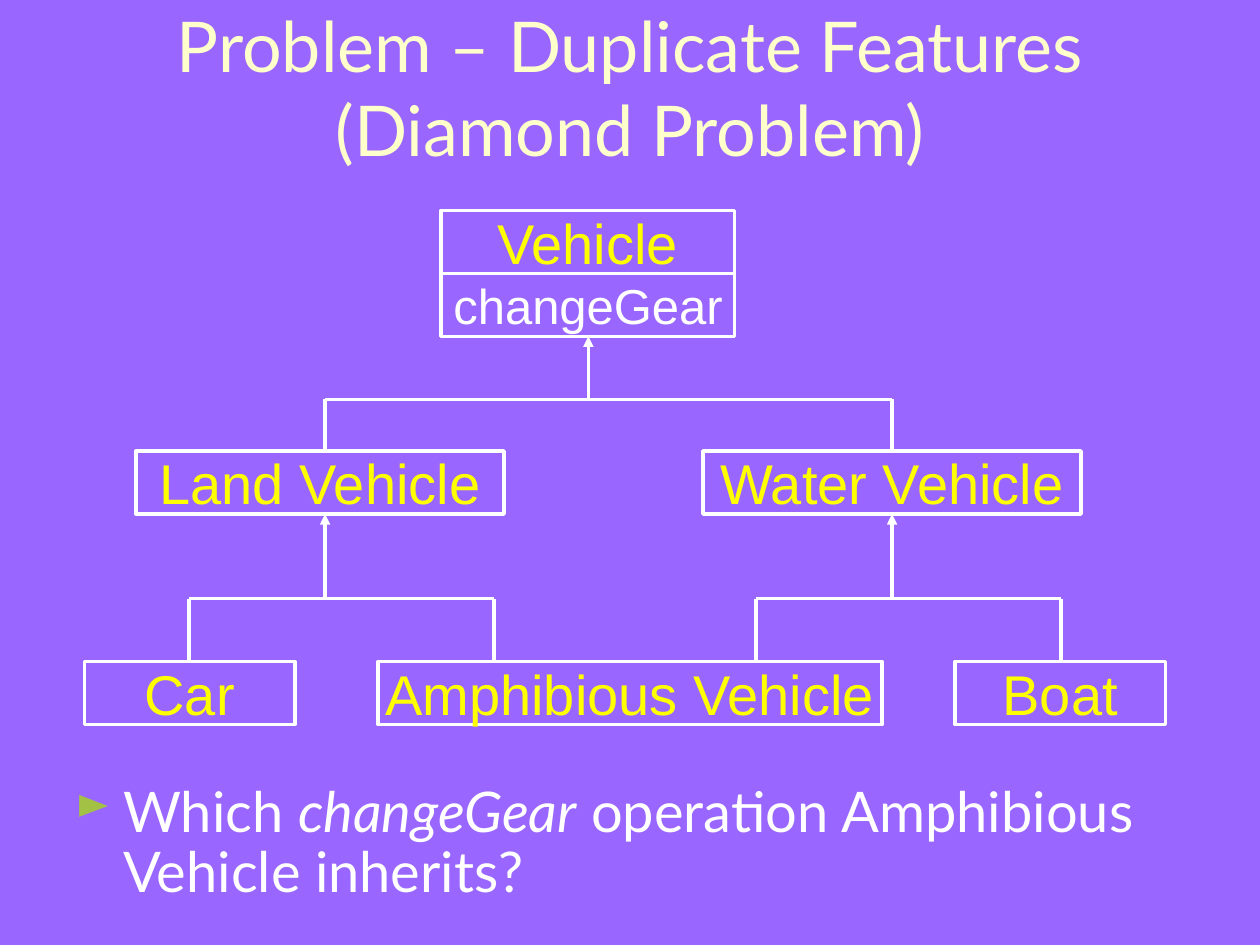
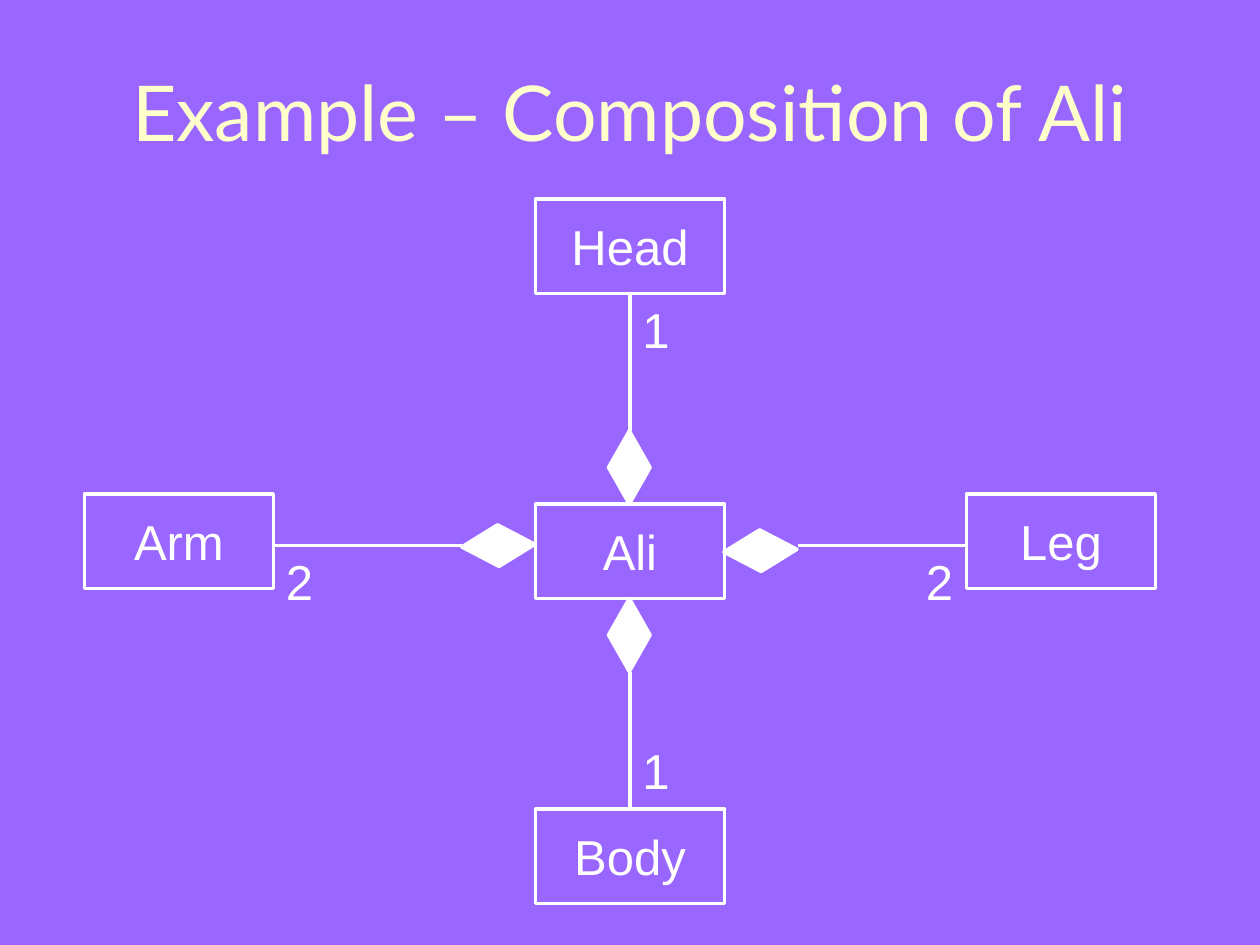
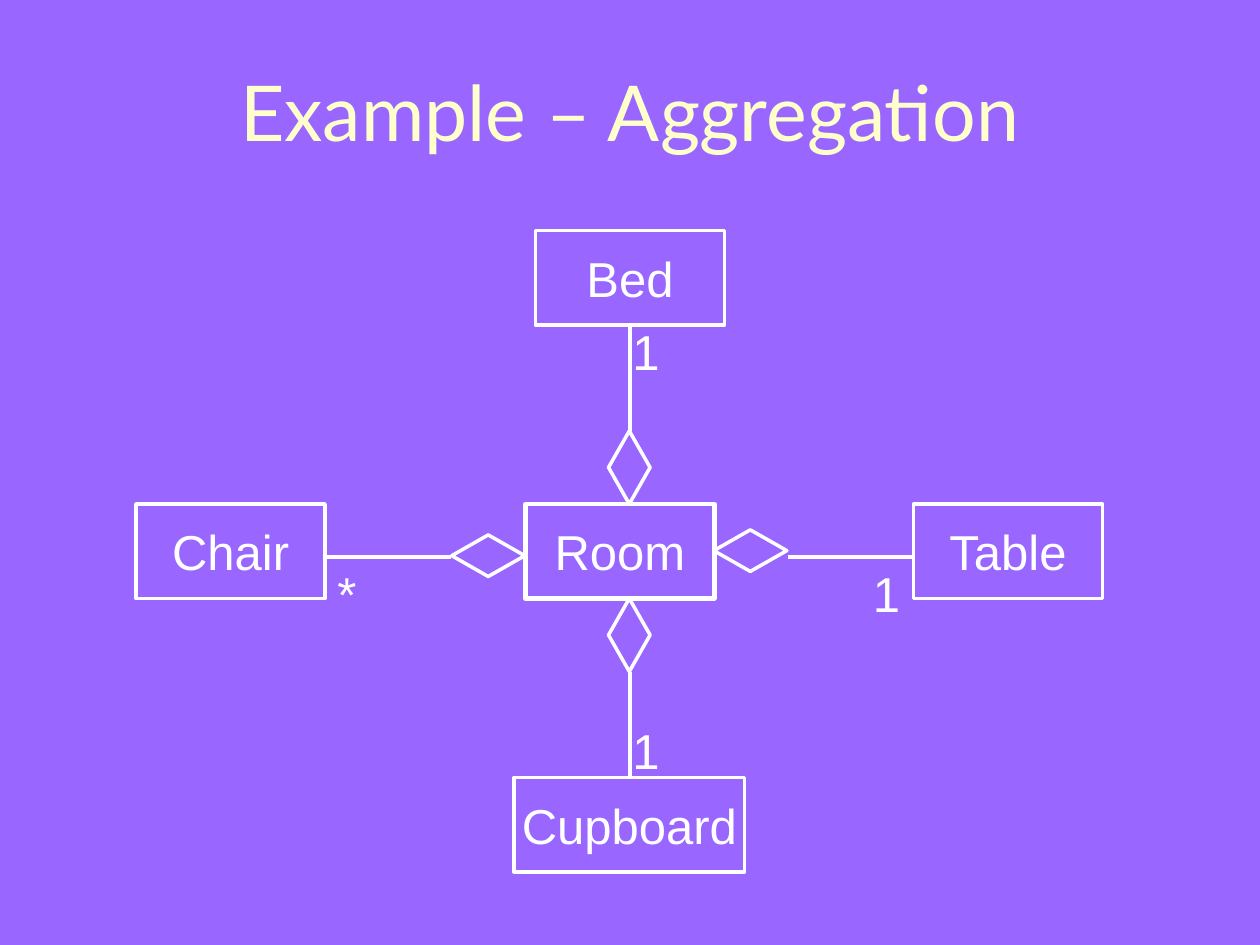
"""Build three slides on multiple inheritance, composition and aggregation."""
from lxml.etree import SubElement
from pptx import Presentation
from pptx.dml.color import RGBColor
from pptx.enum.shapes import MSO_CONNECTOR, MSO_SHAPE
from pptx.enum.text import MSO_ANCHOR, MSO_AUTO_SIZE, PP_ALIGN
from pptx.oxml.ns import qn
from pptx.util import Inches, Pt

PURPLE, WHITE, YELLOW, CREAM, GREEN = "9966FF", "FFFFFF", "FFFF00", "FFFFCC", "A3C145"
HEADING_FONT, LABEL_FONT = "Lato", "Arial"
DIAMOND_WIDTH, DIAMOND_HEIGHT = 0.33, 0.58
COUNT_SIZE = (0.42, 0.57)

INHERITANCE = {
    "title": "Problem – Duplicate Features (Diamond Problem)",
    "classes": [
        ("Amphibious Vehicle", 3, 5.25, 4),
        ("Land Vehicle", 1.08, 3.58, 2.92),
        ("Water Vehicle", 5.58, 3.58, 3),
        ("Vehicle", 3.5, 1.67, 2.33),
        ("Car", 0.67, 5.25, 1.67),
        ("Boat", 7.58, 5.25, 1.67),
    ],
    "operation": ("changeGear", 3.5, 2.17, 2.33),
    "forks": [
        {"stem": 4.67, "tip": 2.67, "bar": 3.17, "foot": 3.58, "branches": (2.58, 7.08)},
        {"stem": 2.58, "tip": 4.08, "bar": 4.75, "foot": 5.25, "branches": (1.5, 3.92)},
        {"stem": 7.08, "tip": 4.08, "bar": 4.75, "foot": 5.25, "branches": (6, 8.42)},
    ],
    "question": [
        ("Which ", False),
        ("changeGear", True),
        (" operation Amphibious Vehicle inherits?", False),
    ],
}

WHOLES = [
    {
        "title": "Example – Composition of Ali",
        "diamond_fill": WHITE,
        "whole": ("Ali", 4.25, 4, 1.5, 2),
        "parts": [
            ("Body", 4.25, 6.42, 1.5),
            ("Arm", 0.67, 3.92, 1.5),
            ("Head", 4.25, 1.58, 1.5),
            ("Leg", 7.67, 3.92, 1.5),
        ],
        "links": [
            ((5, 5.33), (5, 6.42)),
            ((6.33, 4.33), (7.67, 4.33)),
            ((2.17, 4.33), (3.67, 4.33)),
            ((5, 2.33), (5, 3.42)),
        ],
        "counts": [("1", 5, 2.33), ("1", 5, 5.83), ("2", 2.17, 4.33), ("2", 7.25, 4.33)],
        "diamonds": [(4.83, 3.42, 0), (4.83, 4.75, 0), (5.87, 4.08, 267.9), (3.79, 4.04, 267.9)],
    },
    {
        "title": "Example – Aggregation",
        "diamond_fill": None,
        "whole": ("Room", 4.17, 4, 1.5, 2.5),
        "parts": [
            ("Cupboard", 4.08, 6.17, 1.83),
            ("Bed", 4.25, 1.83, 1.5),
            ("Chair", 1.08, 4, 1.5),
            ("Table", 7.25, 4, 1.5),
        ],
        "links": [
            ((5, 3.42), (5, 2.58)),
            ((2.58, 4.42), (3.58, 4.42)),
            ((6.25, 4.42), (7.25, 4.42)),
            ((5, 6.17), (5, 5.33)),
        ],
        "counts": [("*", 2.58, 4.42), ("1", 4.92, 2.5), ("1", 6.83, 4.42), ("1", 4.92, 5.67)],
        "diamonds": [(4.83, 3.42, 0), (5.79, 4.08, 270), (4.83, 4.75, 0), (3.71, 4.12, 270)],
    },
]


def color(value):
    return RGBColor.from_string(value)


def add_run(paragraph, text, font, size, tint, italic=False):
    run = paragraph.add_run()
    run.text = text
    run.font.name = font
    run.font.size = Pt(size)
    run.font.italic = italic
    run.font.color.rgb = color(tint)


def add_text(slide, left, top, width, height):
    box = slide.shapes.add_textbox(*map(Inches, (left, top, width, height)))
    box.text_frame.word_wrap = True
    return box.text_frame


def add_title(slide, text, size, left, width, height):
    frame = add_text(slide, left, 0.25, width, height)
    frame.vertical_anchor = MSO_ANCHOR.MIDDLE
    title = frame.paragraphs[0]
    title.alignment = PP_ALIGN.CENTER
    add_run(title, text, HEADING_FONT, size, CREAM)


def add_outline(slide, preset, left, top, width, height, fill=None, weight=2):
    outline = slide.shapes.add_shape(preset, *map(Inches, (left, top, width, height)))
    outline.shadow.inherit = False
    if fill:
        outline.fill.solid()
        outline.fill.fore_color.rgb = color(fill)
    else:
        outline.fill.background()
    outline.line.color.rgb = color(WHITE)
    outline.line.width = Pt(weight)
    return outline


def add_class(slide, name, left, top, width, height, size=28, tint=WHITE,
              weight=2, align=PP_ALIGN.CENTER):
    frame = add_outline(slide, MSO_SHAPE.RECTANGLE, left, top, width, height,
                        weight=weight).text_frame
    frame.word_wrap = False
    frame.vertical_anchor = MSO_ANCHOR.MIDDLE
    frame.paragraphs[0].alignment = align
    add_run(frame.paragraphs[0], name, LABEL_FONT, size, tint)


def add_line(slide, start, end, arrow=False):
    line = slide.shapes.add_connector(MSO_CONNECTOR.STRAIGHT, *map(Inches, (*start, *end)))
    line.line.color.rgb = color(WHITE)
    line.line.width = Pt(2)
    if arrow:
        SubElement(line.line._get_or_add_ln(), qn("a:tailEnd"), type="triangle")
    SubElement(line._element.spPr, qn("a:effectLst"))


def add_fork(slide, stem, tip, bar, foot, branches):
    add_line(slide, (stem, bar), (stem, tip), arrow=True)
    add_line(slide, (branches[0], bar), (branches[-1], bar))
    for branch in branches:
        add_line(slide, (branch, bar), (branch, foot))


def add_question(slide, runs):
    question = add_text(slide, 0.5, 6.17, 9, 1.08).paragraphs[0]
    question.line_spacing = 0.9
    question.space_before = Pt(8)
    properties = question._p.get_or_add_pPr()
    properties.set("marL", str(Inches(0.38)))
    properties.set("indent", str(-Inches(0.38)))
    SubElement(SubElement(properties, qn("a:buClr")), qn("a:srgbClr"), val=GREEN)
    SubElement(properties, qn("a:buSzPct"), val="80000")
    SubElement(properties, qn("a:buChar"), char="►")
    for text, italic in runs:
        add_run(question, text, HEADING_FONT, 32, WHITE, italic)


def add_count(slide, text, left, top):
    frame = add_text(slide, left, top, *COUNT_SIZE)
    frame.auto_size = MSO_AUTO_SIZE.SHAPE_TO_FIT_TEXT
    frame.paragraphs[0].space_before = Pt(17.5)
    add_run(frame.paragraphs[0], text, LABEL_FONT, 28, WHITE)


def build_inheritance(slide, content):
    add_title(slide, content["title"], 40, 0.5, 9, 0.87)
    add_question(slide, content["question"])
    for name, left, top, width in content["classes"]:
        add_class(slide, name, left, top, width, 0.5, size=32, tint=YELLOW)
    add_class(slide, *content["operation"], 0.5, align=PP_ALIGN.LEFT)
    for fork in content["forks"]:
        add_fork(slide, **fork)


def build_whole(slide, content):
    add_title(slide, content["title"], 44, 0.33, 9.34, 1.25)
    *whole, weight = content["whole"]
    add_class(slide, *whole, 0.75, weight=weight)
    for part in content["parts"]:
        add_class(slide, *part, 0.75)
    for start, end in content["links"]:
        add_line(slide, start, end)
    for count in content["counts"]:
        add_count(slide, *count)
    for left, top, turn in content["diamonds"]:
        diamond = add_outline(slide, MSO_SHAPE.DIAMOND, left, top, DIAMOND_WIDTH,
                              DIAMOND_HEIGHT, fill=content["diamond_fill"])
        diamond.rotation = turn


def main():
    deck = Presentation()
    deck.slide_width, deck.slide_height = Inches(10), Inches(7.5)
    background = deck.slide_master.background.fill
    background.solid()
    background.fore_color.rgb = color(PURPLE)
    blank = deck.slide_layouts[6]
    build_inheritance(deck.slides.add_slide(blank), INHERITANCE)
    for content in WHOLES:
        build_whole(deck.slides.add_slide(blank), content)
    deck.save("out.pptx")


if __name__ == "__main__":
    main()
